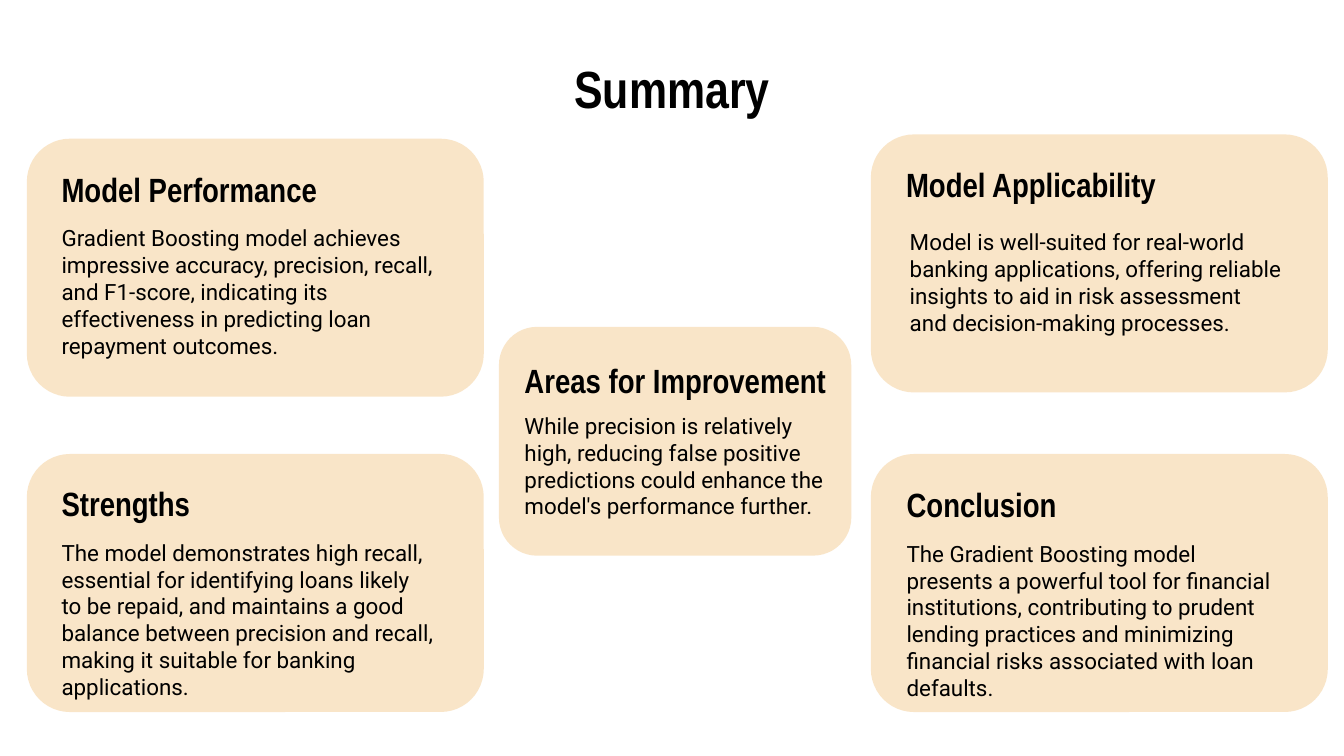
from lxml.etree import SubElement
from pptx import Presentation
from pptx.dml.color import RGBColor
from pptx.enum.shapes import MSO_SHAPE as Shape
from pptx.enum.text import MSO_ANCHOR as Anchor, PP_ALIGN as Align
from pptx.oxml.ns import qn
from pptx.util import Pt

COLORS = {"text": "000000", "card": "E99B27"}
HEADING_FONT, BODY_FONT = "Arial Narrow", "Roboto"
CARD_SIZE = (244.8, 138.24)
LEFT, RIGHT = 14.4, 466.56
BOTTOM = 243.2
BODY_SIZE = (213.8, 72)

# Card left, top, size; heading left, top, size; body left, top, size; texts
CARDS = [
    ((LEFT, 74.3, *CARD_SIZE), (25.9, 90.7, 208, 21), (25.9, 113, *BODY_SIZE),
     "Model Performance",
     "Gradient Boosting model achieves impressive accuracy, precision, recall, "
     "and F1-score, indicating its effectiveness in predicting loan repayment outcomes."),
    ((LEFT, BOTTOM, *CARD_SIZE), (25.9, 259.2, 135.4, 21), (25.9, 281.5, *BODY_SIZE),
     "Strengths",
     "The model demonstrates high recall, essential for identifying loans likely "
     "to be repaid, and maintains a good balance between precision and recall, "
     "making it suitable for banking applications."),
    ((267.3, 175.1, 188.8, 122.6), (273.9, 194.5, 177.1, 18), (273.9, 213.5, 177.1, 61.2),
     "Areas for Improvement",
     "While precision is relatively high, reducing false positive predictions "
     "could enhance the model's performance further."),
    ((RIGHT, 72, *CARD_SIZE), (478.3, 88, 212.4, 21), (480.3, 115, *BODY_SIZE),
     "Model Applicability",
     "Model is well-suited for real-world banking applications, offering reliable "
     "insights to aid in risk assessment and decision-making processes."),
    ((RIGHT, BOTTOM, *CARD_SIZE), (478.6, 259.5, 135.4, 21), (478.6, 282, *BODY_SIZE),
     "Conclusion",
     "The Gradient Boosting model presents a powerful tool for financial "
     "institutions, contributing to prudent lending practices and minimizing "
     "financial risks associated with loan defaults."),
]


def add_text(shapes, text, box, *, font, size, bold=False,
             align=Align.LEFT, anchor=Anchor.TOP, wrap=True):
    frame = shapes.add_textbox(*map(Pt, box)).text_frame
    frame.word_wrap = wrap
    frame.vertical_anchor = anchor
    frame.margin_left = frame.margin_right = Pt(7.2)
    frame.margin_top = frame.margin_bottom = Pt(7.2)
    paragraph = frame.paragraphs[0]
    paragraph.alignment = align
    run = paragraph.add_run()
    run.text = text
    run.font.name = font
    run.font.size = Pt(size)
    run.font.bold = bold
    run.font.color.rgb = RGBColor.from_string(COLORS["text"])


def add_panel(slide, box, opacity=25):
    panel = slide.shapes.add_shape(Shape.ROUNDED_RECTANGLE, *map(Pt, box))
    panel.adjustments[0] = 0.167
    panel.shadow.inherit = False
    panel.line.fill.background()
    panel.fill.solid()
    panel.fill.fore_color.rgb = RGBColor.from_string(COLORS["card"])
    # Transparency has no public setting
    color = panel.fill._xPr.find(qn("a:solidFill"))[0]
    SubElement(color, qn("a:alpha")).set("val", str(opacity * 1000))


def add_card(slide, panel_box, heading_box, body_box, heading, body):
    add_panel(slide, panel_box)
    shapes = slide.shapes.add_group_shape().shapes
    add_text(shapes, heading, heading_box, font=HEADING_FONT, size=18,
             bold=True, anchor=Anchor.MIDDLE)
    add_text(shapes, body, body_box, font=BODY_FONT, size=12)


def main():
    presentation = Presentation()
    presentation.slide_width, presentation.slide_height = Pt(720), Pt(405)
    slide = presentation.slides.add_slide(presentation.slide_layouts[6])

    # Title
    add_text(slide.shapes, "Summary", (36, 32.4, 648, 29.5), font=HEADING_FONT,
             size=28, bold=True, align=Align.CENTER, anchor=Anchor.MIDDLE)

    # Summary cards
    for card in CARDS:
        add_card(slide, *card)

    presentation.save("out.pptx")


if __name__ == "__main__":
    main()
